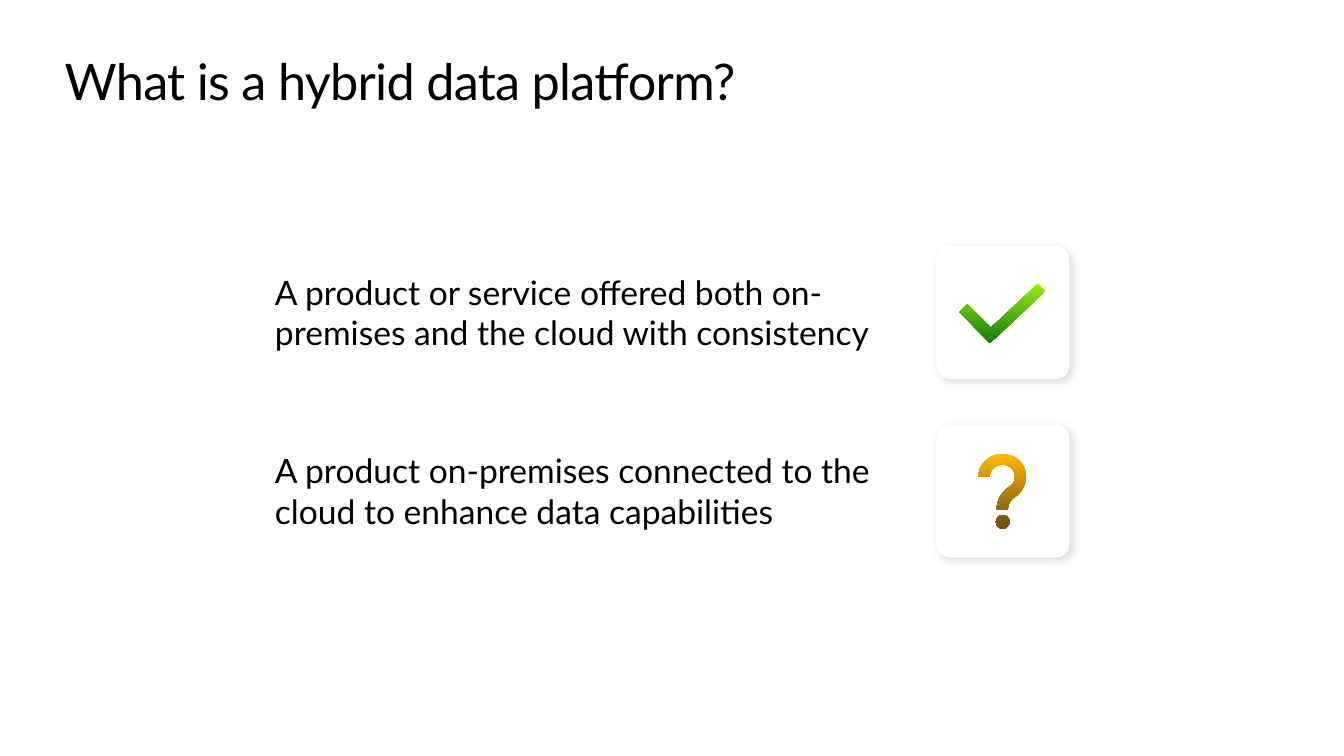
"""Build the slide that asks what a hybrid data platform is."""
from math import cos, pi, sin

from lxml.etree import SubElement
from pptx import Presentation
from pptx.dml.color import RGBColor
from pptx.enum.shapes import MSO_SHAPE as Preset
from pptx.oxml.ns import qn
from pptx.util import Cm, Pt

COLORS = {
    "text": "000000",
    "tile": "FFFFFF",
    "shadow": "000000",
    "check": ("9BF00B", "107C10"),
    "question": ("FFB900", "6A4B16"),
}


def add_text(slide, text, left, top, width, height, size):
    box = slide.shapes.add_textbox(Cm(left), Cm(top), Cm(width), Cm(height))
    frame = box.text_frame
    frame.word_wrap = True
    frame.margin_left = frame.margin_right = 0
    frame.margin_top = frame.margin_bottom = 0
    paragraph = frame.paragraphs[0]
    paragraph.text = text
    paragraph.font.name = "Lato"
    paragraph.font.size = Pt(size)
    paragraph.font.color.rgb = RGBColor.from_string(COLORS["text"])
    return paragraph


def add_icon(slide, contours, gradient):
    start_x, start_y = contours[0][0]
    builder = slide.shapes.build_freeform(Cm(start_x), Cm(start_y))
    for number, contour in enumerate(contours):
        if number:
            builder.move_to(Cm(contour[0][0]), Cm(contour[0][1]))
        builder.add_line_segments([(Cm(x), Cm(y)) for x, y in contour[1:]])
    icon = builder.convert_to_shape()
    icon.shadow.inherit = False
    icon.line.fill.background()
    icon.fill.gradient()
    icon.fill.gradient_angle = 270
    for position, (stop, color) in enumerate(zip(icon.fill.gradient_stops, gradient)):
        stop.position = position
        stop.color.rgb = RGBColor.from_string(color)


presentation = Presentation()
presentation.slide_width = Cm(33.87)
presentation.slide_height = Cm(19.05)
slide = presentation.slides.add_slide(presentation.slide_layouts[6])

title = add_text(slide, "What is a hybrid data platform?", 1.63, 1.27, 30.6, 1.55, 36)
title.runs[0].font._element.set("spc", "-50")

definitions = [
    "A product or service offered both on-premises and the cloud with consistency",
    "A product on-premises connected to the cloud to enhance data capabilities",
]
TILE_LEFT, TILE_TOP, TILE_SIZE, ROW_STEP = 23.6, 6.2, 3.35, 4.5
TEXT_HEIGHT = 2.06

for row, definition in enumerate(definitions):
    top = TILE_TOP + row * ROW_STEP
    text_top = top + (TILE_SIZE - TEXT_HEIGHT) / 2
    add_text(slide, definition, 6.93, text_top, 15.57, TEXT_HEIGHT, 24)
    tile = slide.shapes.add_shape(
        Preset.ROUNDED_RECTANGLE, Cm(TILE_LEFT), Cm(top), Cm(TILE_SIZE), Cm(TILE_SIZE)
    )
    tile.adjustments[0] = 0.1
    tile.fill.solid()
    tile.fill.fore_color.rgb = RGBColor.from_string(COLORS["tile"])
    tile.line.fill.background()
    tile.shadow.inherit = False
    effects = tile._element.spPr.find(qn("a:effectLst"))
    shadow = SubElement(
        effects, qn("a:outerShdw"), blurRad=str(Pt(7)), dist=str(Pt(3)),
        dir="2700000", algn="tl", rotWithShape="0",
    )
    shadow_color = SubElement(shadow, qn("a:srgbClr"), val=COLORS["shadow"])
    SubElement(shadow_color, qn("a:alpha"), val="15000")

check = [
    (26.16, 7.14), (24.97, 8.26), (24.38, 7.67), (24.18, 7.87),
    (24.94, 8.64), (25.15, 8.46), (26.34, 7.34),
]
add_icon(slide, [check], COLORS["check"])

hook_outer = [
    (24.66, 12.01), (24.66, 11.71), (24.89, 11.48), (25.2, 11.43),
    (25.53, 11.4), (25.81, 11.63), (25.86, 11.94),
    (25.88, 12.17), (25.76, 12.4), (25.58, 12.52),
    (25.48, 12.57), (25.4, 12.7), (25.4, 12.83),
]
hook_inner = [
    (25.12, 12.83), (25.12, 12.6), (25.25, 12.4), (25.43, 12.27),
    (25.53, 12.22), (25.58, 12.12), (25.58, 12.01),
    (25.58, 11.84), (25.43, 11.71), (25.27, 11.71),
    (25.1, 11.71), (24.94, 11.84), (24.94, 12.01),
]
CURVE_STEPS = 10
hook = []
for edge in (hook_outer, hook_inner):
    hook.append(edge[0])
    for first in range(0, len(edge) - 1, 3):
        controls = edge[first:first + 4]
        for step in range(1, CURVE_STEPS + 1):
            t = step / CURVE_STEPS
            weights = ((1 - t) ** 3, 3 * t * (1 - t) ** 2, 3 * t * t * (1 - t), t ** 3)
            hook.append(tuple(
                sum(weight * point[axis] for weight, point in zip(weights, controls))
                for axis in (0, 1)
            ))

DOT_X, DOT_Y, DOT_RADIUS, DOT_SIDES = 25.27, 13.15, 0.17, 32
dot_angles = [2 * pi * side / DOT_SIDES for side in range(DOT_SIDES)]
dot = [(DOT_X + DOT_RADIUS * cos(a), DOT_Y + DOT_RADIUS * sin(a)) for a in dot_angles]
add_icon(slide, [hook, dot], COLORS["question"])

presentation.save("out.pptx")
